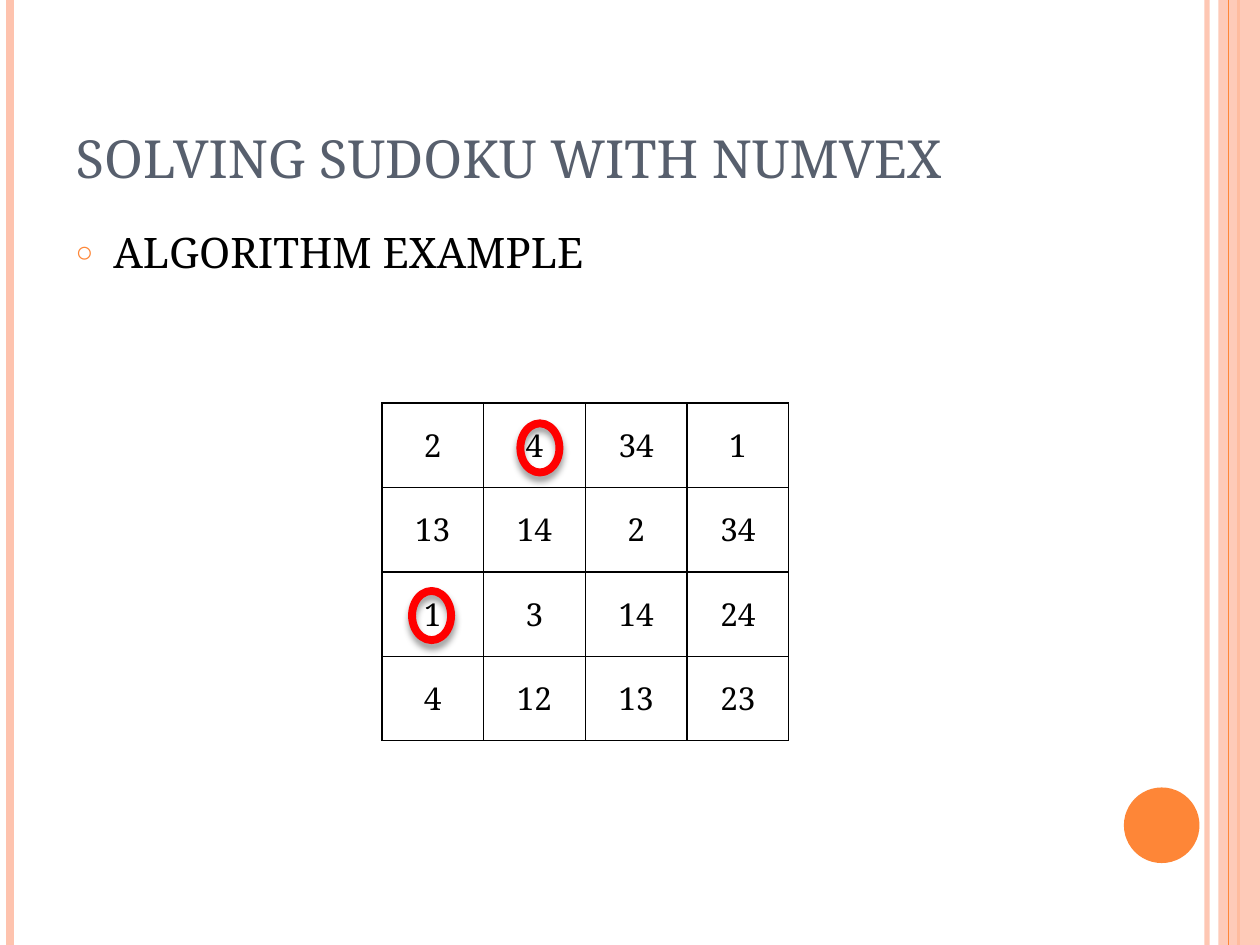
from lxml.etree import SubElement
from pptx import Presentation
from pptx.dml.color import RGBColor
from pptx.enum.shapes import MSO_CONNECTOR, MSO_SHAPE
from pptx.enum.text import MSO_ANCHOR, MSO_AUTO_SIZE, PP_ALIGN
from pptx.oxml import parse_xml
from pptx.oxml.ns import nsdecls, qn
from pptx.util import Inches, Pt

COLORS = {
    "peach": "FEC3AE",
    "orange": "FE8637",
    "slate": "575F6D",
    "black": "000000",
    "red": "FF0000",
}
FONT = "Noto Serif"


class SlideBuilder:
    """Holds the style and the current slide."""

    def __init__(self, slide):
        self.slide = slide

    def color(self, name):
        return RGBColor.from_string(COLORS[name])

    def set_opacity(self, element, percent):
        for tag in element.iter(qn("a:srgbClr")):
            SubElement(tag, qn("a:alpha")).set("val", str(percent * 1000))

    def style_text(self, para, size, color):
        for span in para.runs:
            span.font.name = FONT
            span.font.size = Pt(size)
            span.font.color.rgb = self.color(color)

    def placeholder(self, index, text, place, size, color, anchor):
        box = self.slide.placeholders[index]
        box.left, box.top, box.width, box.height = map(Inches, place)
        frame = box.text_frame
        frame.text = text
        frame.auto_size = MSO_AUTO_SIZE.NONE
        frame.vertical_anchor = anchor
        para = frame.paragraphs[0]
        para.alignment = PP_ALIGN.LEFT
        self.style_text(para, size, color)
        return para

    def bullet(self, para, mark, color, percent, indent):
        para.space_before = Pt(6)
        properties = para._p.get_or_add_pPr()
        properties.set("marL", str(Inches(indent)))
        properties.set("indent", str(-Inches(indent)))
        bullet_color = SubElement(properties, qn("a:buClr"))
        SubElement(bullet_color, qn("a:srgbClr")).set("val", COLORS[color])
        SubElement(properties, qn("a:buSzPct")).set("val", str(percent * 1000))
        SubElement(properties, qn("a:buChar")).set("char", mark)

    def vertical_line(self, x, color, width, opacity=100):
        line = self.slide.shapes.add_connector(
            MSO_CONNECTOR.STRAIGHT, Inches(x), 0, Inches(x), Inches(7.5))
        line.line.color.rgb = self.color(color)
        line.line.width = Pt(width)
        properties = line._element.spPr
        if opacity < 100:
            self.set_opacity(properties, opacity)
        SubElement(properties, qn("a:effectLst"))

    def filled_shape(self, kind, place, color, opacity=100):
        shape = self.slide.shapes.add_shape(kind, *map(Inches, place))
        shape.shadow.inherit = False
        shape.fill.solid()
        shape.fill.fore_color.rgb = self.color(color)
        shape.line.fill.background()
        if opacity < 100:
            self.set_opacity(shape._element.spPr, opacity)

    def ring(self, left, top):
        ring = self.slide.shapes.add_shape(
            MSO_SHAPE.OVAL, Inches(left), Inches(top), Inches(0.31), Inches(0.39))
        ring.fill.background()
        ring.line.color.rgb = self.color("red")
        ring.line.width = Pt(4.5)
        ring._element.spPr.append(parse_xml(
            f'<a:effectLst {nsdecls("a")}>'
            f'<a:outerShdw blurRad="{Pt(4)}" dist="{Pt(3)}" dir="5400000" rotWithShape="0">'
            f'<a:srgbClr val="{COLORS["black"]}"><a:alpha val="40000"/></a:srgbClr>'
            '</a:outerShdw></a:effectLst>'))

    def cell_borders(self, cell):
        properties = cell._tc.get_or_add_tcPr()
        for position, side in enumerate(("lnL", "lnR", "lnT", "lnB")):
            properties.insert(position, parse_xml(
                f'<a:{side} {nsdecls("a")} w="{Pt(1)}"><a:solidFill>'
                f'<a:srgbClr val="{COLORS["black"]}"/></a:solidFill></a:{side}>'))

    def grid(self, rows, left, top, width, height):
        count = len(rows)
        table = self.slide.shapes.add_table(
            count, count, *map(Inches, (left, top, width, height))).table
        table.first_row = table.horz_banding = False
        for row, values in enumerate(rows):
            for column, value in enumerate(values):
                cell = table.cell(row, column)
                cell.text = value
                cell.fill.background()
                cell.vertical_anchor = MSO_ANCHOR.MIDDLE
                para = cell.text_frame.paragraphs[0]
                para.alignment = PP_ALIGN.CENTER
                self.style_text(para, 18, "black")
                self.cell_borders(cell)


def main():
    deck = Presentation()
    deck.slide_width, deck.slide_height = Inches(10), Inches(7.5)
    page = SlideBuilder(deck.slides.add_slide(deck.slide_layouts[1]))

    # Side stripes and the round accent
    page.vertical_line(9.58, "peach", 3, 93)
    page.vertical_line(0.08, "peach", 4.5)
    page.vertical_line(9.83, "orange", 1.5)
    page.filled_shape(MSO_SHAPE.RECTANGLE, (9.67, 0, 0.33, 7.5), "peach", 87)
    page.vertical_line(9.75, "orange", 0.75)
    page.filled_shape(MSO_SHAPE.OVAL, (8.92, 6.25, 0.6, 0.6), "orange")

    # Title and list
    page.placeholder(0, "SOLVING SUDOKU WITH NUMVEX", (0.5, 0.3, 8.17, 1.25),
                     30, "slate", MSO_ANCHOR.BOTTOM)
    item = page.placeholder(1, "ALGORITHM EXAMPLE", (0.5, 1.75, 8.17, 5.33),
                            24, "black", MSO_ANCHOR.TOP)
    page.bullet(item, "○", "orange", 70, 0.3)

    # Candidate grid, with the chosen digits ringed
    candidates = [
        ("2", "4", "34", "1"),
        ("13", "14", "2", "34"),
        ("1", "3", "14", "24"),
        ("4", "12", "13", "23"),
    ]
    page.grid(candidates, 3.03, 3.2, 3.23, 2.68)
    for left, top in ((4.13, 3.36), (3.27, 4.69)):
        page.ring(left, top)

    deck.save("out.pptx")


if __name__ == "__main__":
    main()
